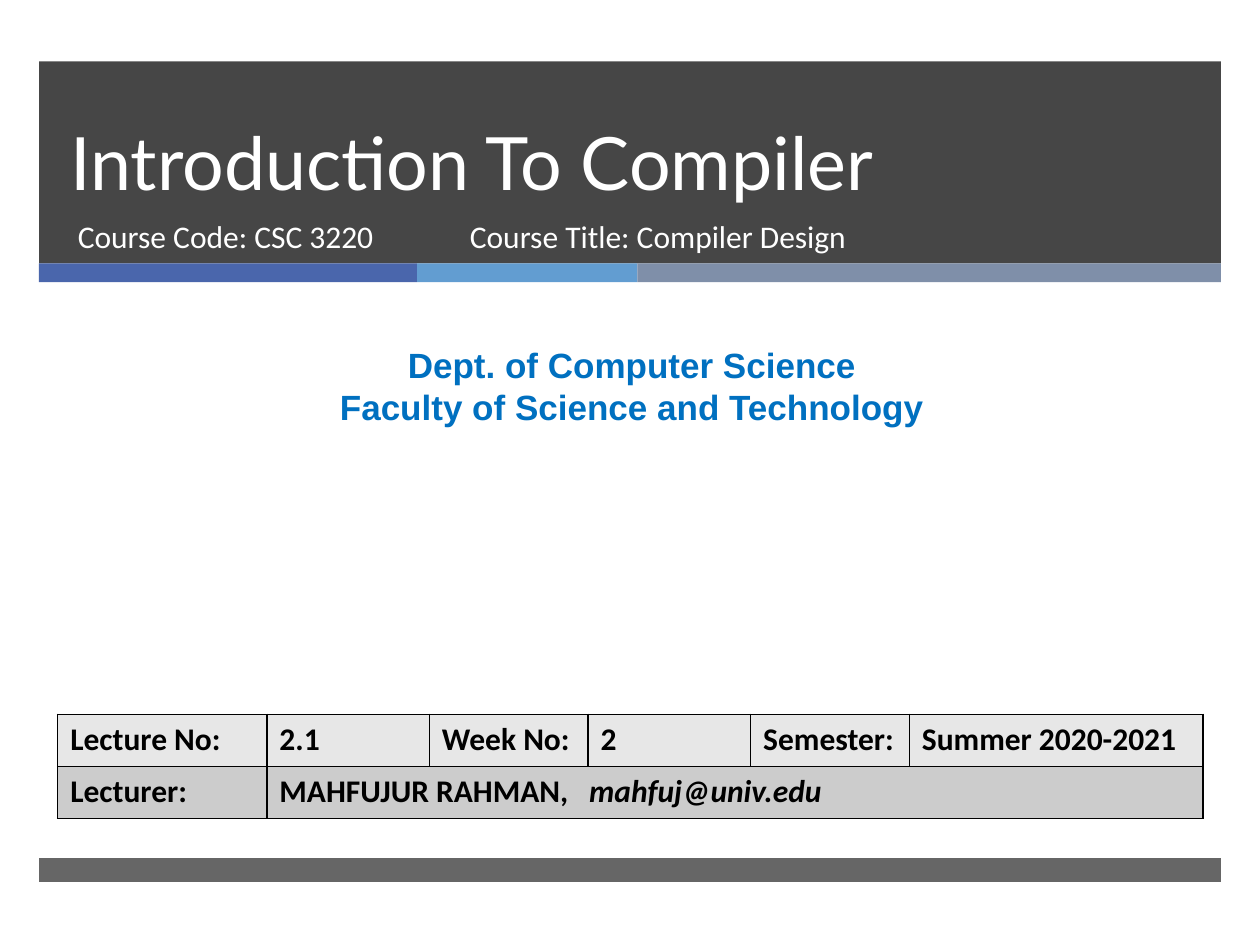
from lxml import etree
from pptx import Presentation
from pptx import util as u
from pptx.dml.color import RGBColor
from pptx.enum import shapes, text
from pptx.oxml.ns import qn

Pt = u.Pt
LEFT, WIDTH = 22.3, 675.4
DARK, WHITE, BLACK, BLUE = "262626", "FFFFFF", "000000", "0070C0"
STRIPES = [(216, "4A66AC"), (126, "629DD1"), (333.4, "7F8FA9")]
COLUMNS = [119.5, 92.9, 90.7, 92.9, 90.7, 167.8]
LECTURE = ["Lecture No:", "2.1", "Week No:", "2", "Semester:", "Summer 2020-2021"]
CELL_FONT = {"name": "Calibri", "size": Pt(18), "bold": True}


def color(value):
    """Turn a hex string into a colour."""
    return RGBColor.from_string(value)


def write(paragraph, content, hex_color, **formats):
    """Add a formatted run to a paragraph."""
    run = paragraph.add_run()
    run.text = content
    run.font.color.rgb = color(hex_color)
    for name, value in formats.items():
        setattr(run.font, name, value)


def add_bar(slide, left, top, width, height, hex_color, opacity=100):
    """Add a plain rectangle with the given opacity in percent."""
    shape = slide.shapes.add_shape(
        shapes.MSO_SHAPE.RECTANGLE, Pt(left), Pt(top), Pt(width), Pt(height))
    shape.shadow.inherit = False
    shape.fill.solid()
    shape.fill.fore_color.rgb = color(hex_color)
    shape.line.fill.background()
    if opacity < 100:
        fill_color = shape._element.spPr.find(".//" + qn("a:srgbClr"))
        etree.SubElement(fill_color, qn("a:alpha"), val=str(opacity * 1000))


def add_text(slide, left, top, width, height, lines, hex_color,
             anchor="TOP", align="LEFT", spacing=None, **formats):
    """Add a wrapped text box with one paragraph per line."""
    shape = slide.shapes.add_textbox(Pt(left), Pt(top), Pt(width), Pt(height))
    frame = shape.text_frame
    frame.word_wrap = True
    frame.vertical_anchor = text.MSO_ANCHOR[anchor]
    for index, line in enumerate(lines):
        paragraph = frame.add_paragraph() if index else frame.paragraphs[0]
        paragraph.alignment = text.PP_ALIGN[align]
        paragraph.line_spacing = spacing
        write(paragraph, line, hex_color, **formats)


def add_header(slide, left, top, width, height):
    """Draw the title band, its texts and the stripes at its foot."""
    add_bar(slide, left, top, width, height, DARK, 85)
    stripe_left = left
    for stripe_width, hex_color in STRIPES:
        add_bar(slide, stripe_left, top + height, stripe_width, 10.8, hex_color)
        stripe_left += stripe_width
    add_text(slide, left + 10.8, top, 615, 85.7, ["Introduction To Compiler"],
             WHITE, anchor="BOTTOM", spacing=Pt(46), name="Lato", size=Pt(42))
    for offset, box_width, line in [(15.1, 219.6, "Course Code: CSC 3220"),
                                    (239.1, 327.6, "Course Title: Compiler Design")]:
        add_text(slide, left + offset, top + 85.7, box_width, 38.2, [line],
                 WHITE, name="Calibri", size=Pt(18))


def format_cell(cell, hex_color):
    """Fill a cell and give it thin black borders."""
    properties = cell._tc.get_or_add_tcPr()
    for side in ("a:lnL", "a:lnR", "a:lnT", "a:lnB"):
        line = etree.SubElement(properties, qn(side), w=str(Pt(1)))
        fill = etree.SubElement(line, qn("a:solidFill"))
        etree.SubElement(fill, qn("a:srgbClr"), val=BLACK)
    cell.fill.solid()
    cell.fill.fore_color.rgb = color(hex_color)


def add_details(slide, left, top, row_height):
    """Add the table with the lecture and lecturer details."""
    table = slide.shapes.add_table(2, len(COLUMNS), Pt(left), Pt(top),
                                   Pt(sum(COLUMNS)), Pt(2 * row_height)).table
    for column, width in zip(table.columns, COLUMNS):
        column.width = Pt(width)
    for row, hex_color in zip(table.rows, ("E7E7E7", "CCCCCC")):
        row.height = Pt(row_height)
        for cell in row.cells:
            format_cell(cell, hex_color)
    table.cell(1, 1).merge(table.cell(1, 5))
    for index, label in enumerate(LECTURE):
        write(table.cell(0, index).text_frame.paragraphs[0], label, BLACK, **CELL_FONT)
    write(table.cell(1, 0).text_frame.paragraphs[0], "Lecturer:", BLACK, **CELL_FONT)
    lecturer = table.cell(1, 1).text_frame.paragraphs[0]
    tabs = etree.SubElement(lecturer._p.get_or_add_pPr(), qn("a:tabLst"))
    etree.SubElement(tabs, qn("a:tab"), pos=str(Pt(177)), algn="l")
    write(lecturer, "MAHFUJUR RAHMAN,\t", BLACK, **CELL_FONT)
    write(lecturer, "mahfuj@univ.edu", BLACK, italic=True, **CELL_FONT)


def build_title_slide(presentation):
    """Compose the opening slide of the lecture."""
    slide = presentation.slides.add_slide(presentation.slide_layouts[6])
    add_header(slide, LEFT, 35, WIDTH, 115.5)
    add_bar(slide, LEFT, 490.3, WIDTH, 13.7, DARK, 70)
    add_text(slide, 5.8, 193, 710.6, 55.4,
             ["Dept. of Computer Science", "Faculty of Science and Technology"],
             BLUE, align="CENTER", name="Arial", size=Pt(20), bold=True)
    add_details(slide, 33, 408.2, 29.8)


presentation = Presentation()
presentation.slide_width, presentation.slide_height = Pt(720), Pt(540)
build_title_slide(presentation)
presentation.save("out.pptx")
